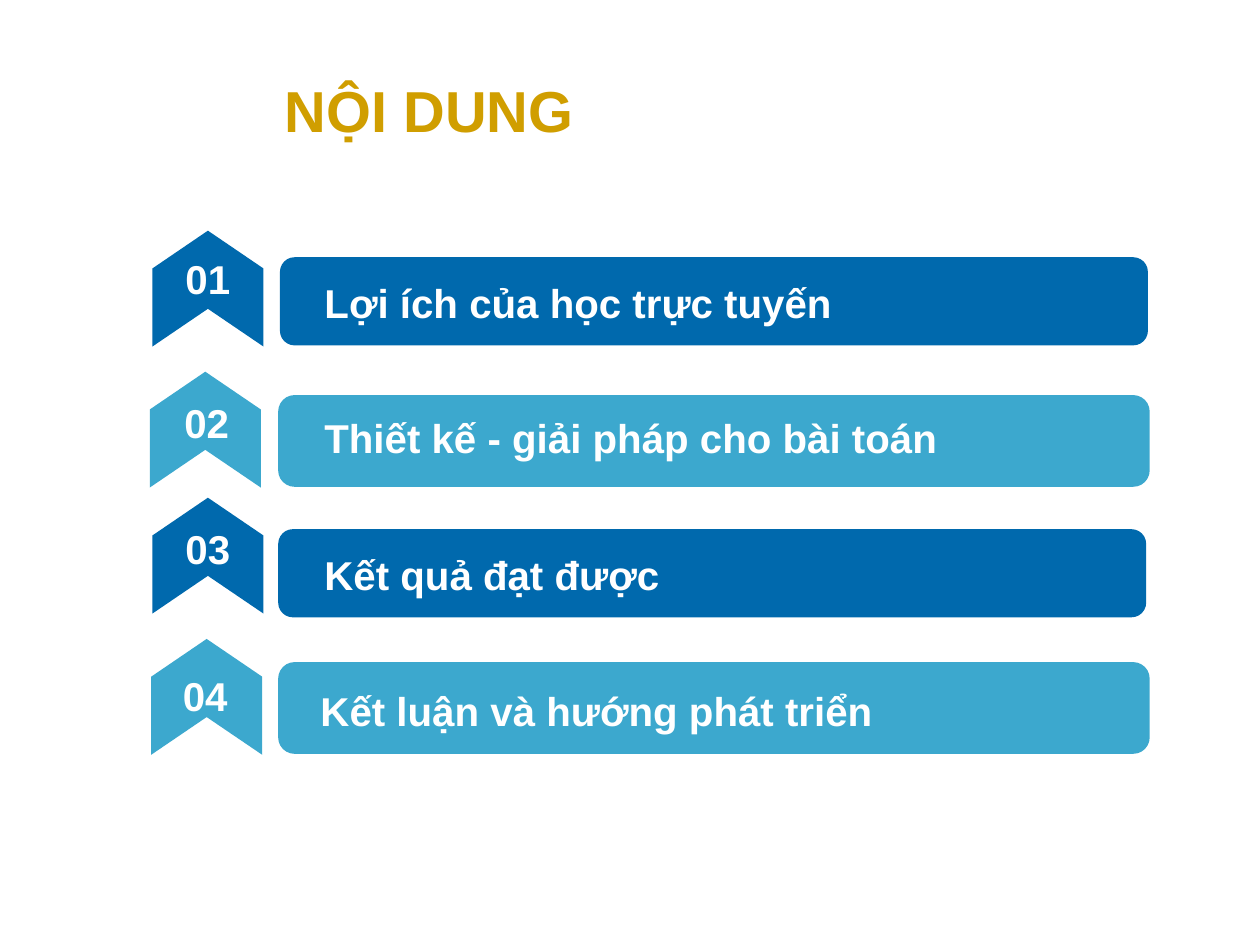
import dataclasses

import pptx
import pptx.dml.color
import pptx.enum.shapes
import pptx.enum.text
import pptx.util

Pt = pptx.util.Pt
Shapes = pptx.enum.shapes.MSO_SHAPE
Align = pptx.enum.text.PP_ALIGN


@dataclasses.dataclass(frozen=True)
class Theme:
    font: str = "Arial"
    title_size: float = 33
    item_size: float = 23
    gold: str = "D09E00"
    white: str = "FFFFFF"
    dark_blue: str = "0069AD"
    light_blue: str = "3CA8CE"


THEME = Theme()
BAR_SIZE = (496, 50.4)
CHEVRON_SIZE = (66.2, 63.4)
NUMBER_SIZE = (44.6, 36)

# Text, then left and top of bar, label, chevron and number, then label size
ITEMS = [
    ("Lợi ích của học trực tuyến",
     (160, 147), (176.4, 152.6), (85.7, 133.2), (96.5, 141.1), (456.5, 40.3)),
    ("Thiết kế - giải pháp cho bài toán",
     (160, 226.8), (176.4, 230.4), (84.2, 213.8), (95.8, 223.2), (481, 38.9)),
    ("Kết quả đạt được",
     (159, 302.4), (176.4, 308.9), (85.7, 285.8), (96.5, 295.2), (456.5, 38.9)),
    ("Kết luận và hướng phát triển",
     (160, 379.4), (174.2, 386.6), (85, 366.5), (95, 379.4), (456.5, 38.9)),
]


def rgb(color):
    return pptx.dml.color.RGBColor.from_string(color)


def set_attributes(target, values):
    for name, value in values.items():
        setattr(target, name, value)


def write_text(shape, text, size, color, alignment, **frame_format):
    frame = shape.text_frame
    set_attributes(frame, {
        "word_wrap": True,
        "vertical_anchor": pptx.enum.text.MSO_ANCHOR.MIDDLE,
        **frame_format,
    })
    paragraph = frame.paragraphs[0]
    paragraph.text = text
    paragraph.alignment = alignment
    font = paragraph.runs[0].font
    set_attributes(font, {"name": THEME.font, "size": Pt(size), "bold": True})
    font.color.rgb = rgb(color)


def add_shape(slide, kind, position, size, fill=None, outline=None):
    shape = slide.shapes.add_shape(kind, *map(Pt, position + size))
    shape.shadow.inherit = False
    if fill:
        shape.fill.solid()
        shape.fill.fore_color.rgb = rgb(fill)
    else:
        shape.fill.background()
    if outline:
        shape.line.color.rgb = rgb(outline)
        shape.line.width = Pt(2)
    else:
        shape.line.fill.background()
    return shape


def add_text_box(slide, position, size, *text_format, **frame_format):
    box = slide.shapes.add_textbox(*map(Pt, position + size))
    write_text(box, *text_format, **frame_format)


def add_item(slide, number, text, bar, label, chevron, number_box, label_size):
    """Add one agenda row; even rows are light blue with an outline."""
    is_light = number % 2 == 0
    color = THEME.light_blue if is_light else THEME.dark_blue
    add_shape(slide, Shapes.ROUNDED_RECTANGLE, bar, BAR_SIZE, color,
              color if is_light else None)
    label_shape = add_shape(slide, Shapes.ROUNDED_RECTANGLE, label, label_size)
    write_text(label_shape, text, THEME.item_size, THEME.white, Align.LEFT)
    arrow = add_shape(slide, Shapes.CHEVRON, chevron, CHEVRON_SIZE, color)
    arrow.rotation = 270
    arrow.adjustments[0] = 0.34
    add_text_box(slide, number_box, NUMBER_SIZE, f"{number:02}",
                 THEME.item_size, THEME.white, Align.CENTER)


def main():
    presentation = pptx.Presentation()
    set_attributes(presentation, {"slide_width": Pt(720), "slide_height": Pt(540)})
    slide = presentation.slides.add_slide(presentation.slide_layouts[6])
    for number, item in enumerate(ITEMS, start=1):
        add_item(slide, number, *item)
    add_text_box(slide, (143.3, 38.9), (259.2, 47.5), "NỘI DUNG",
                 THEME.title_size, THEME.gold, Align.LEFT, margin_left=Pt(19.5))
    presentation.save("out.pptx")


if __name__ == "__main__":
    main()
